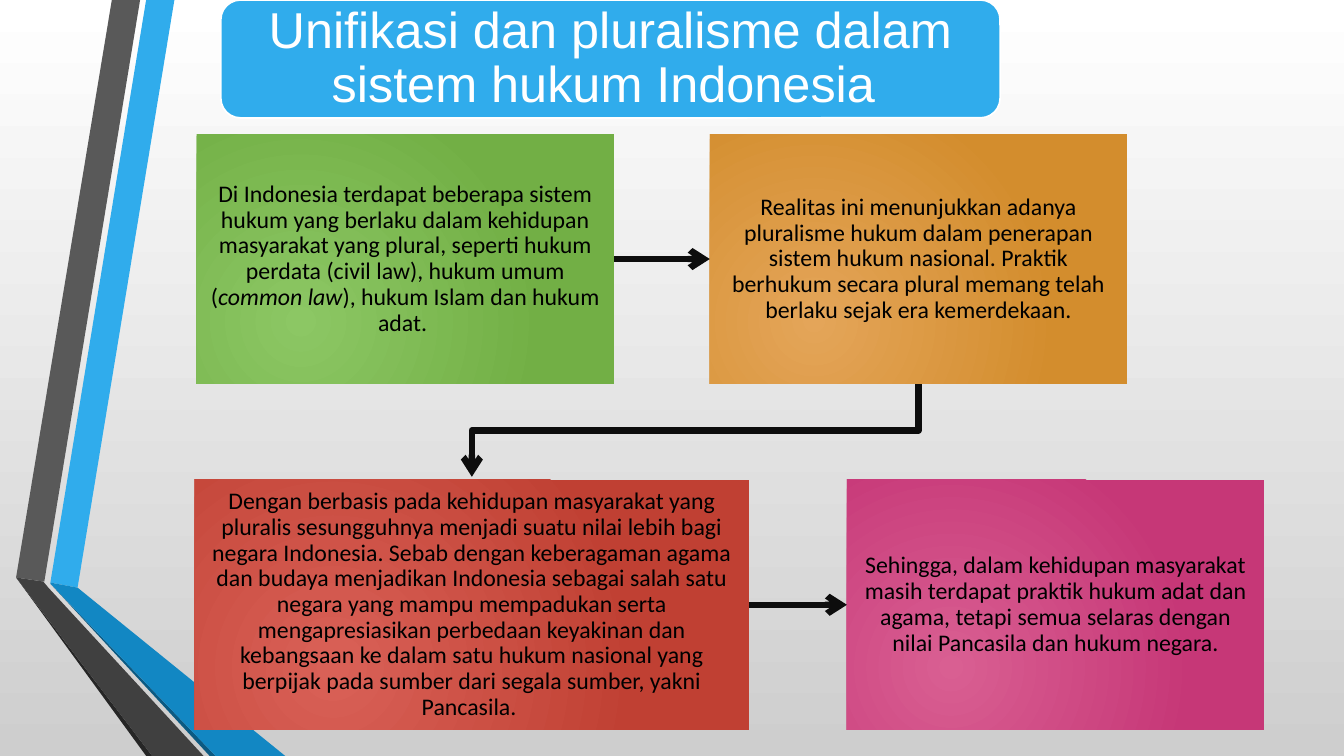
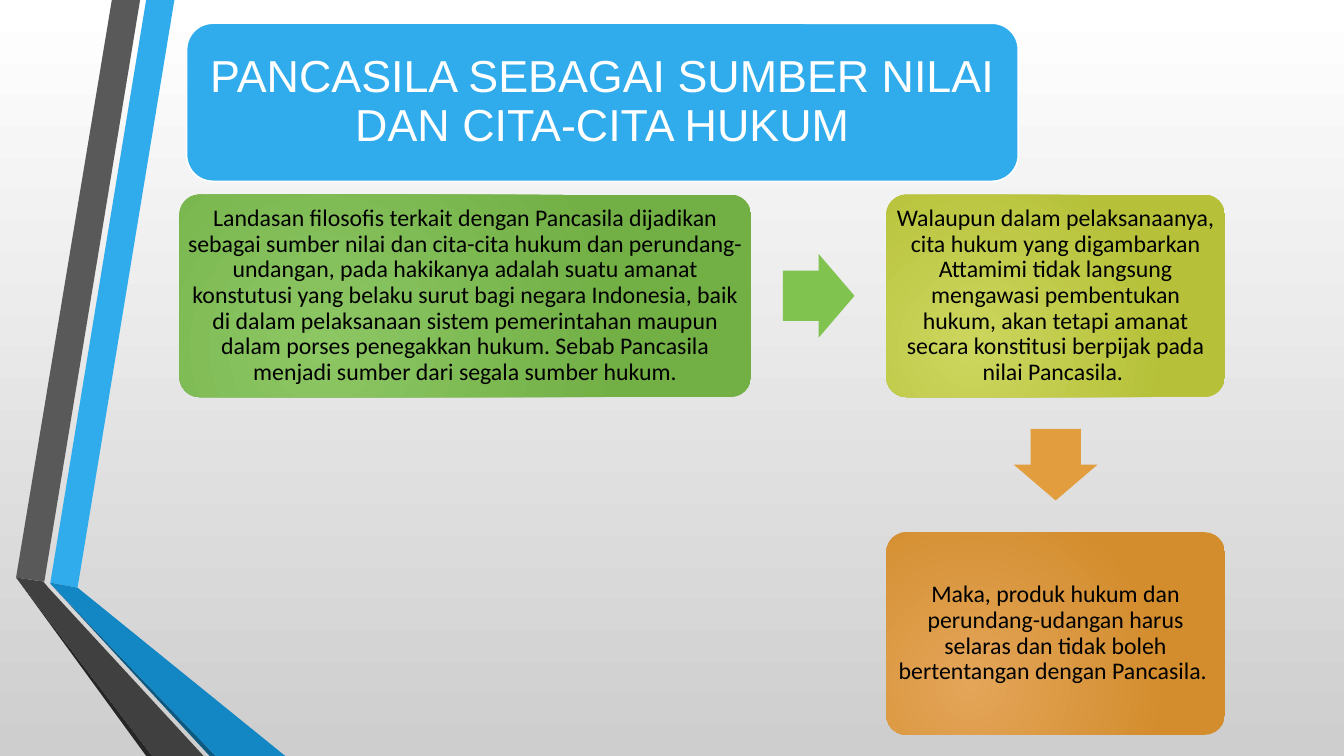
from lxml import etree
from pptx import Presentation
from pptx.dml.color import RGBColor
from pptx.enum.shapes import MSO_CONNECTOR, MSO_SHAPE
from pptx.enum.text import MSO_ANCHOR, PP_ALIGN
from pptx.oxml.ns import qn
from pptx.util import Inches, Pt

RECT, ROUNDED = MSO_SHAPE.RECTANGLE, MSO_SHAPE.ROUNDED_RECTANGLE
RIGHT_ARROW = MSO_SHAPE.RIGHT_ARROW
STRAIGHT, ELBOW = MSO_CONNECTOR.STRAIGHT, MSO_CONNECTOR.ELBOW
TOP, LEFT, BOTTOM, RIGHT = range(4)

COLORS = {
    "white": "FFFFFF", "silver": "CECECE", "black": "000000", "ink": "0D0D0D",
    "blue": "30ACEC", "deep blue": "1287C3", "navy": "0C5A82",
    "gray": "595959", "dark gray": "404040", "charcoal": "262626",
    "green": "80C34F", "orange": "E29D3E",
}
CARD_GRADIENTS = {
    "green": ("8CC764", "72AF45"),
    "orange": ("E4A559", "D38D2D"),
    "red": ("D96157", "C04033"),
    "pink": ("D95F92", "C63777"),
    "lime": ("CCD65E", "B6C139"),
}

# Folded ribbons on the left edge, from back to front
RIBBONS = [
    ("blue", [(0.5, 5.78), (0.77, 5.83), (1.73, 0), (1.45, 0)]),
    ("gray", [(1.39, 0), (1.11, 0), (0.16, 5.73), (0.44, 5.77)]),
    ("charcoal", [(0.16, 5.73), (1.45, 7.5), (1.51, 7.5)]),
    ("navy", [(0.5, 5.79), (2.08, 7.5), (2.14, 7.5)]),
    ("deep blue", [(0.5, 5.79), (2.14, 7.5), (2.83, 7.5), (0.77, 5.83), (0.5, 5.78)]),
    ("dark gray", [(2.02, 7.5), (0.48, 5.83), (0.43, 5.77), (0.16, 5.73), (1.51, 7.5)]),
]

# Title: text, (left, top, width, height), text size, inset
PLURALISM_TITLE = ("Unifikasi dan pluralisme dalam sistem hukum Indonesia ",
                   (2.19, 0, 7.73, 1.17), 36, 0.09)
SOURCE_TITLE = ("PANCASILA SEBAGAI SUMBER NILAI DAN CITA-CITA HUKUM",
                (1.85, 0.23, 8.25, 1.57), 32, 0.05)

# Cards: colour, (left, top, width, height), text with *italics*
PLURALISM_CARDS = [
    ("green", (1.95, 1.33, 4.14, 2.48),
     "Di Indonesia terdapat beberapa sistem hukum yang berlaku dalam kehidupan "
     "masyarakat yang plural, seperti hukum perdata (civil law), hukum umum "
     "(*common law*), hukum Islam dan hukum adat. "),
    ("orange", (7.04, 1.33, 4.14, 2.48),
     "Realitas ini menunjukkan adanya pluralisme hukum dalam penerapan sistem hukum "
     "nasional. Praktik berhukum secara plural memang telah berlaku sejak era "
     "kemerdekaan."),
    ("red", (1.93, 4.76, 5.5, 2.48),
     "Dengan berbasis pada kehidupan masyarakat yang pluralis sesungguhnya menjadi "
     "suatu nilai lebih bagi negara Indonesia. Sebab dengan keberagaman agama dan "
     "budaya menjadikan Indonesia sebagai salah satu negara yang mampu mempadukan "
     "serta mengapresiasikan perbedaan keyakinan dan kebangsaan ke dalam satu hukum "
     "nasional yang berpijak pada sumber dari segala sumber, yakni Pancasila. "),
    ("pink", (8.4, 4.76, 4.14, 2.48),
     "Sehingga, dalam kehidupan masyarakat masih terdapat praktik hukum adat dan "
     "agama, tetapi semua selaras dengan nilai Pancasila dan hukum negara."),
]
SOURCE_CARDS = [
    ("green", (1.78, 1.93, 5.67, 2.01),
     "Landasan filosofis terkait dengan Pancasila dijadikan sebagai sumber nilai dan "
     "cita-cita hukum dan perundang-undangan, pada hakikanya adalah suatu amanat "
     "konstutusi yang belaku surut bagi negara Indonesia, baik di dalam pelaksanaan "
     "sistem pemerintahan maupun dalam porses penegakkan hukum. Sebab Pancasila "
     "menjadi sumber dari segala sumber hukum."),
    ("lime", (8.79, 1.93, 3.36, 2.01),
     "Walaupun dalam pelaksanaanya, cita hukum yang digambarkan Attamimi tidak "
     "langsung mengawasi pembentukan hukum, akan tetapi amanat secara konstitusi "
     "berpijak pada nilai Pancasila. "),
    ("orange", (8.79, 5.28, 3.36, 2.01),
     "Maka, produk hukum dan perundang-udangan harus selaras dan tidak boleh "
     "bertentangan dengan Pancasila. "),
]
ARROW_SIZE = Inches(0.71), Inches(0.83)


def rgb(name):
    return RGBColor.from_string(COLORS[name])


def paint(shape, color):
    shape.shadow.inherit = False
    shape.fill.solid()
    shape.fill.fore_color.rgb = rgb(color)
    shape.line.fill.background()


def set_stops(fill, hexes):
    fill.gradient()
    for stop, value in zip(fill.gradient_stops, hexes):
        stop.color.rgb = RGBColor.from_string(value)


def paint_radial(shape, hexes):
    """Fill with a glow centred in the lower left part of the shape."""
    shape.shadow.inherit = False
    shape.line.fill.background()
    set_stops(shape.fill, hexes)
    gradient = shape._element.spPr.find(qn("a:gradFill"))
    gradient.remove(gradient.find(qn("a:lin")))
    circle = etree.SubElement(gradient, qn("a:path"), {"path": "circle"})
    etree.SubElement(circle, qn("a:fillToRect"),
                     {"l": "50000", "t": "100000", "r": "100000", "b": "50000"})


def write(shape, text, font, size, color, inset):
    frame = shape.text_frame
    frame.word_wrap = True
    frame.vertical_anchor = MSO_ANCHOR.MIDDLE
    frame.margin_left = frame.margin_right = Inches(inset)
    frame.margin_top = frame.margin_bottom = Inches(inset)
    para = frame.paragraphs[0]
    para.alignment = PP_ALIGN.CENTER
    para.line_spacing = 0.9
    para.font.name, para.font.size = font, Pt(size)
    para.font.color.rgb = rgb(color)
    for index, part in enumerate(text.split("*")):
        span = para.add_run()
        span.text = part
        if index % 2:
            span.font.italic = True


def add_page(deck, title):
    """Add a page with the ribbons and its title band."""
    page = deck.slides.add_slide(deck.slide_layouts[6])
    for color, points in RIBBONS:
        corners = [(Inches(x), Inches(y)) for x, y in points]
        builder = page.shapes.build_freeform(*corners[0])
        builder.add_line_segments(corners[1:], close=True)
        paint(builder.convert_to_shape(), color)
    text, place, size, inset = title
    band = page.shapes.add_shape(ROUNDED, *map(Inches, place))
    paint(band, "blue")
    band.line.color.rgb = rgb("white")
    band.line.width = Pt(1.25)
    write(band, text, "Arial", size, "white", inset)
    return page


def add_cards(page, cards, preset, inset):
    boxes = []
    for color, place, text in cards:
        box = page.shapes.add_shape(preset, *map(Inches, place))
        if preset == ROUNDED:
            box.adjustments[0] = 0.1
        paint_radial(box, CARD_GRADIENTS[color])
        write(box, text, "Calibri", 17, "black", inset)
        boxes.append(box)
    return boxes


def style_arrow(connector):
    connector.line.color.rgb = rgb("ink")
    connector.line.width = Pt(4.5)
    properties = connector._element.spPr
    etree.SubElement(properties.find(qn("a:ln")), qn("a:tailEnd"), {"type": "arrow"})
    etree.SubElement(properties, qn("a:effectLst"))


def link_across(page, source, target):
    connector = page.shapes.add_connector(STRAIGHT, 0, 0, 0, 0)
    connector.begin_connect(source, RIGHT)
    connector.end_connect(target, LEFT)
    style_arrow(connector)


def link_down(page, source, target):
    """Draw an elbow from the bottom of source to the top of target, on its lower left."""
    start_x, start_y = source.left + source.width // 2, source.top + source.height
    end_x, end_y = target.left + target.width // 2, target.top - Inches(0.03)
    center_x, center_y = (start_x + end_x) // 2, (start_y + end_y) // 2
    half_run, half_drop = (start_x - end_x) // 2, (end_y - start_y) // 2
    # A quarter turn makes the elbow leave and arrive vertically
    connector = page.shapes.add_connector(
        ELBOW, center_x - half_drop, center_y - half_run,
        center_x + half_drop, center_y + half_run)
    connector._element.spPr.find(qn("a:xfrm")).set("rot", "5400000")
    style_arrow(connector)


def add_block_arrow(page, color, center_x, center_y, rotation=0):
    width, height = ARROW_SIZE
    arrow = page.shapes.add_shape(
        RIGHT_ARROW, center_x - width // 2, center_y - height // 2, width, height)
    arrow.adjustments[0], arrow.adjustments[1] = 0.6, 0.5
    arrow.rotation = rotation
    paint(arrow, color)


def main():
    deck = Presentation()
    deck.slide_width, deck.slide_height = Inches(13.33), Inches(7.5)
    backdrop = deck.slide_master.background.fill
    set_stops(backdrop, (COLORS["white"], COLORS["silver"]))
    backdrop.gradient_angle = 270

    page = add_page(deck, PLURALISM_TITLE)
    systems, reality, diversity, result = add_cards(page, PLURALISM_CARDS, RECT, 0.13)
    link_across(page, systems, reality)
    link_down(page, reality, diversity)
    link_across(page, diversity, result)

    page = add_page(deck, SOURCE_TITLE)
    basis, practice, outcome = add_cards(page, SOURCE_CARDS, ROUNDED, 0.01)
    add_block_arrow(page, "green", (basis.left + basis.width + practice.left) // 2,
                    basis.top + basis.height // 2)
    add_block_arrow(page, "orange", practice.left + practice.width // 2,
                    (practice.top + practice.height + outcome.top) // 2, 90)

    deck.save("out.pptx")


if __name__ == "__main__":
    main()
